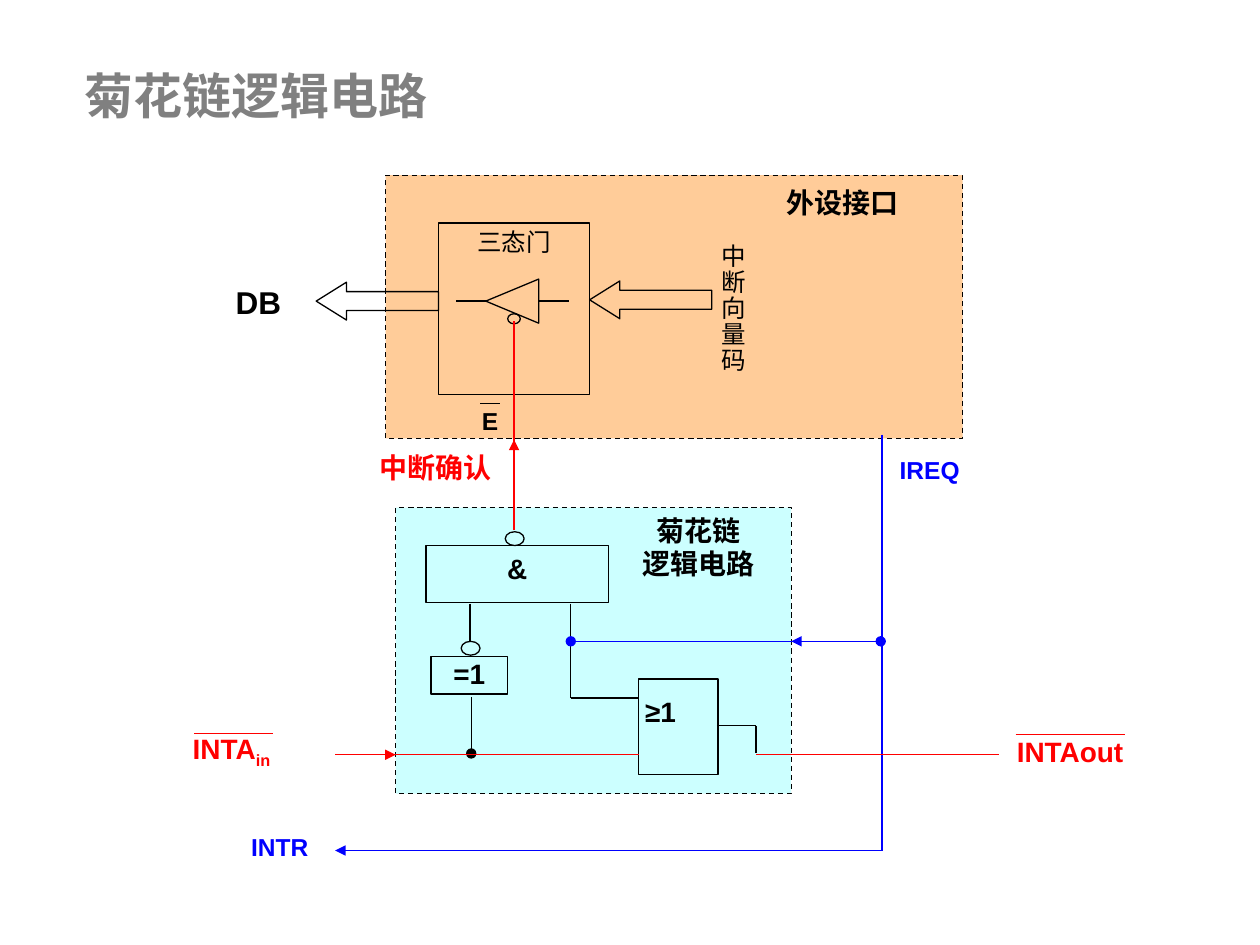
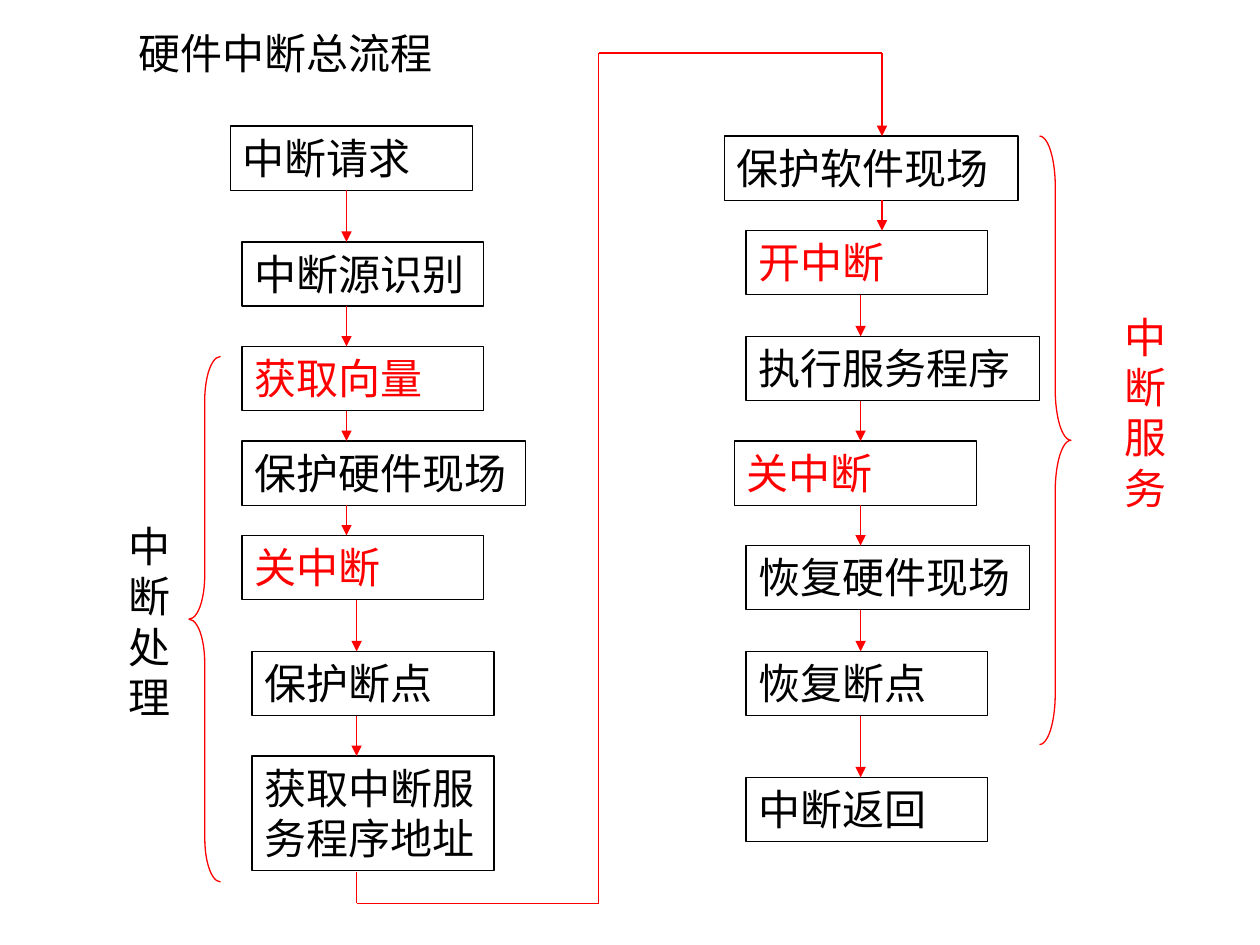
from dataclasses import dataclass
from itertools import pairwise
from lxml.etree import SubElement as Sub
from pptx import Presentation
from pptx.dml.color import RGBColor as RGB
from pptx.enum.dml import MSO_LINE as Dash
from pptx.enum.shapes import MSO_CONNECTOR as Wire, MSO_SHAPE as Kind
from pptx.enum.text import MSO_ANCHOR as Anchor, MSO_AUTO_SIZE as Auto, PP_ALIGN as Align
from pptx.oxml.ns import qn
from pptx.util import Inches, Pt


@dataclass(frozen=True)
class Theme:
    black: str = "000000"
    red: str = "FF0000"
    blue: str = "0000FF"
    gray: str = "808080"
    peach: str = "FFCC99"
    aqua: str = "CCFFFF"
    sans: str = "Arial"
    serif: str = "Times New Roman"
    head: int = 28
    flow: int = 24
    bus: int = 18
    label: int = 16
    small: int = 14
    line: float = 0.75


T = Theme()
FLAT = (0, 0, 0, 0)
PAD = (0.1, 0.05, 0.1, 0.05)
TALL = (0, 0.05, 0, 0.05)


class Board:
    def __init__(self, deck):
        self.deck = deck
        self.slide = None

    def new(self):
        self.slide = self.deck.slides.add_slide(self.deck.slide_layouts[5])

    def letter(self, shape, text, size, color=T.black, font=T.sans, bold=True,
               align=Align.CENTER, pad=FLAT, pitch=None, gap=0):
        frame = shape.text_frame
        frame.word_wrap = True
        frame.auto_size = Auto.NONE
        frame.vertical_anchor = Anchor.TOP
        (frame.margin_left, frame.margin_top,
         frame.margin_right, frame.margin_bottom) = map(Inches, pad)
        frame.text = text
        for i, para in enumerate(frame.paragraphs):
            para.alignment = align
            if pitch:
                para.line_spacing = pitch
            if i and gap:
                para.space_before = Pt(gap)
            para.font.name = font
            para.font.size = Pt(size)
            para.font.bold = bold
            para.font.color.rgb = RGB.from_string(color)
        return frame

    def title(self, box, text, size, **style):
        shape = self.slide.shapes.title
        shape.left, shape.top, shape.width, shape.height = map(Inches, box)
        self.letter(shape, text, size, align=Align.LEFT, **style)

    def text(self, box, text, size, **style):
        shape = self.slide.shapes.add_textbox(*map(Inches, box))
        return self.letter(shape, text, size, **style)

    def shape(self, kind, box, fill=None, color=T.black, dash=False, turn=0, adjust=()):
        shape = self.slide.shapes.add_shape(kind, *map(Inches, box))
        shape.shadow.inherit = False
        if fill:
            shape.fill.solid()
            shape.fill.fore_color.rgb = RGB.from_string(fill)
        else:
            shape.fill.background()
        shape.line.color.rgb = RGB.from_string(color)
        shape.line.width = Pt(T.line)
        if dash:
            shape.line.dash_style = Dash.DASH
        shape.rotation = turn
        for i, value in enumerate(adjust):
            shape.adjustments[i] = value
        return shape

    def line(self, start, end, color=T.black, head=None, tail=None):
        wire = self.slide.shapes.add_connector(Wire.STRAIGHT, *map(Inches, start + end))
        wire.line.color.rgb = RGB.from_string(color)
        wire.line.width = Pt(T.line)
        props = wire._element.spPr
        stroke = props.find(qn("a:ln"))
        for tag, kind in (("a:headEnd", head), ("a:tailEnd", tail)):
            if kind:
                Sub(stroke, qn(tag)).set("type", kind)
        Sub(props, qn("a:effectLst"))

    def route(self, points, color=T.black, tail=None):
        pairs = list(pairwise(points))
        for i, (start, end) in enumerate(pairs, 1):
            self.line(start, end, color, tail=tail if i == len(pairs) else None)

    def flow(self, steps):
        for x, y, width, high, text, color, _ in steps:
            box = self.shape(Kind.RECTANGLE, (x, y, width, high))
            self.letter(box, text, T.flow, color=color, font=T.serif, bold=False,
                        align=Align.LEFT, pad=PAD)
        for above, below in pairwise(steps):
            axis = above[-1]
            self.line((axis, above[1] + above[3]), (axis, below[1]), T.red, tail="triangle")


def draw_chain(board):
    board.new()
    board.title((0.67, 0.52, 3.07, 0.47), "菊花链逻辑电路", T.head, color=T.gray)

    board.shape(Kind.RECTANGLE, (3.06, 1.39, 4.58, 2.09), T.peach, dash=True)
    board.shape(Kind.RECTANGLE, (3.14, 4.03, 3.14, 2.27), T.aqua, dash=True)

    board.shape(Kind.RECTANGLE, (3.48, 1.77, 1.2, 1.36))
    board.shape(Kind.FLOWCHART_MERGE, (3.89, 2.18, 0.35, 0.42), turn=90)
    for x in (3.62, 4.28):
        board.line((x, 2.39), (x + 0.24, 2.39))
    for x, y in ((2.51, 2.24), (4.68, 2.23)):
        board.shape(Kind.LEFT_ARROW, (x, y, 0.97, 0.3), adjust=(0.5, 0.8))
    for dot in ((4.03, 2.49, 0.1, 0.08), (4.01, 4.22, 0.15, 0.11), (3.66, 5.09, 0.15, 0.11)):
        board.shape(Kind.FLOWCHART_CONNECTOR, dot)

    gates = (
        ((3.38, 4.33, 1.45, 0.45), "&", Align.CENTER, PAD),
        ((3.42, 5.21, 0.61, 0.3), "=1", Align.CENTER, FLAT),
        ((5.07, 5.39, 0.63, 0.76), "≥1", Align.LEFT, (0.05, 0.12, 0, 0)),
    )
    for box, text, align, pad in gates:
        gate = board.shape(Kind.RECTANGLE, box)
        board.letter(gate, text, T.label, align=align, pad=pad)

    board.line((3.73, 4.79), (3.73, 5.09))
    board.line((3.74, 5.53), (3.74, 5.98), tail="oval")
    board.route(((4.53, 4.79), (4.53, 5.54), (5.07, 5.54)))
    board.route(((5.69, 5.76), (6, 5.76), (6, 5.98)))
    board.route(((7, 3.45), (7, 6.75), (2.66, 6.75)), T.blue, "triangle")
    board.line((4.53, 5.09), (6.99, 5.09), T.blue, "oval", "oval")
    board.line((6.52, 5.09), (6.28, 5.09), T.blue, tail="triangle")
    board.line((2.66, 5.99), (5.07, 5.99), T.red)
    board.line((2.89, 5.99), (3.14, 5.99), T.red, tail="triangle")
    board.line((6, 5.99), (7.93, 5.99), T.red)
    board.line((4.08, 4.21), (4.08, 2.55), T.red)
    board.line((4.08, 3.64), (4.08, 3.49), T.red, tail="triangle")

    for x, end, y, color in ((1.54, 2.17, 5.82, T.red), (8.06, 8.93, 5.83, T.red),
                             (3.81, 3.97, 3.2, T.black)):
        board.line((x, y), (end, y), color)

    frame = board.text((1.53, 5.76, 0.97, 0.45), "INTA", T.label, color=T.red,
                       align=Align.LEFT, pad=TALL)
    sub = frame.paragraphs[0].add_run()
    sub.text = "in"
    sub._r.get_or_add_rPr().set("baseline", "-25000")
    board.text((8.07, 5.78, 1.19, 0.45), "INTAout", T.label, color=T.red,
               align=Align.LEFT, pad=TALL)
    board.text((7.14, 3.56, 0.72, 0.3), "IREQ", T.small, color=T.blue,
               align=Align.LEFT, pad=TALL)
    board.text((1.88, 6.6, 0.68, 0.22), "INTR", T.small, color=T.blue)
    board.text((1.69, 2.25, 0.72, 0.3), "DB", T.bus)
    board.text((3.77, 3.22, 0.24, 0.22), "E", T.small)
    board.text((3.72, 1.8, 0.72, 0.31), "三态门", T.small, font=T.serif, bold=False)
    board.text((5.58, 1.97, 0.48, 0.9), "\n".join("中断向量码"), T.small,
               font=T.serif, bold=False, pitch=0.72, gap=2.8)
    board.text((5.96, 1.47, 1.45, 0.3), "外设接口", T.label, font=T.serif)
    board.text((2.87, 3.58, 1.03, 0.33), "中断确认", T.label, color=T.red,
               font=T.serif, align=Align.RIGHT)
    board.text((4.99, 4.13, 1.11, 0.41), "菊花链\n逻辑电路", T.label,
               font=T.serif, pitch=0.8, gap=3.2)


def draw_flow(board):
    board.new()
    plain = dict(font=T.serif, bold=False, pad=PAD)
    board.title((1, 0.17, 2.83, 0.5), "硬件中断总流程", T.flow, **plain)

    board.flow((
        (1.83, 1, 1.92, 0.51, "中断请求", T.black, 2.75),
        (1.92, 1.92, 1.92, 0.51, "中断源识别", T.black, 2.75),
        (1.92, 2.75, 1.92, 0.51, "获取向量", T.red, 2.75),
        (1.92, 3.5, 2.25, 0.51, "保护硬件现场", T.black, 2.75),
        (1.92, 4.25, 1.92, 0.51, "关中断", T.red, 2.83),
        (2, 5.17, 1.92, 0.51, "保护断点", T.black, 2.83),
        (2, 6, 1.92, 0.91, "获取中断服务程序地址", T.black, 2.83),
    ))
    board.flow((
        (5.75, 1.08, 2.33, 0.51, "保护软件现场", T.black, 7),
        (5.92, 1.83, 1.92, 0.51, "开中断", T.red, 6.83),
        (5.92, 2.67, 2.33, 0.51, "执行服务程序", T.black, 6.83),
        (5.83, 3.5, 1.92, 0.51, "关中断", T.red, 6.83),
        (5.92, 4.33, 2.25, 0.51, "恢复硬件现场", T.black, 6.83),
        (5.92, 5.17, 1.92, 0.51, "恢复断点", T.black, 6.83),
        (5.92, 6.17, 1.92, 0.51, "中断返回", T.black, 6.83),
    ))
    board.route(((2.83, 6.92), (2.83, 7.17), (4.75, 7.17), (4.75, 0.42),
                 (7, 0.42), (7, 1.08)), T.red, "triangle")

    board.shape(Kind.LEFT_BRACE, (1.5, 2.83, 0.25, 4.17), color=T.red, adjust=(1.39, 0.5))
    board.shape(Kind.RIGHT_BRACE, (8.25, 1.08, 0.25, 4.83), color=T.red, adjust=(1.61, 0.5))
    board.text((0.92, 4.08, 0.5, 1.7), "中断处理", T.flow, align=Align.LEFT, **plain)
    board.text((8.83, 2.42, 0.58, 1.7), "中断服务", T.flow, color=T.red,
               align=Align.LEFT, **plain)


def main():
    deck = Presentation()
    deck.slide_width, deck.slide_height = Inches(10), Inches(7.5)
    board = Board(deck)
    draw_chain(board)
    draw_flow(board)
    deck.save("out.pptx")


if __name__ == "__main__":
    main()
